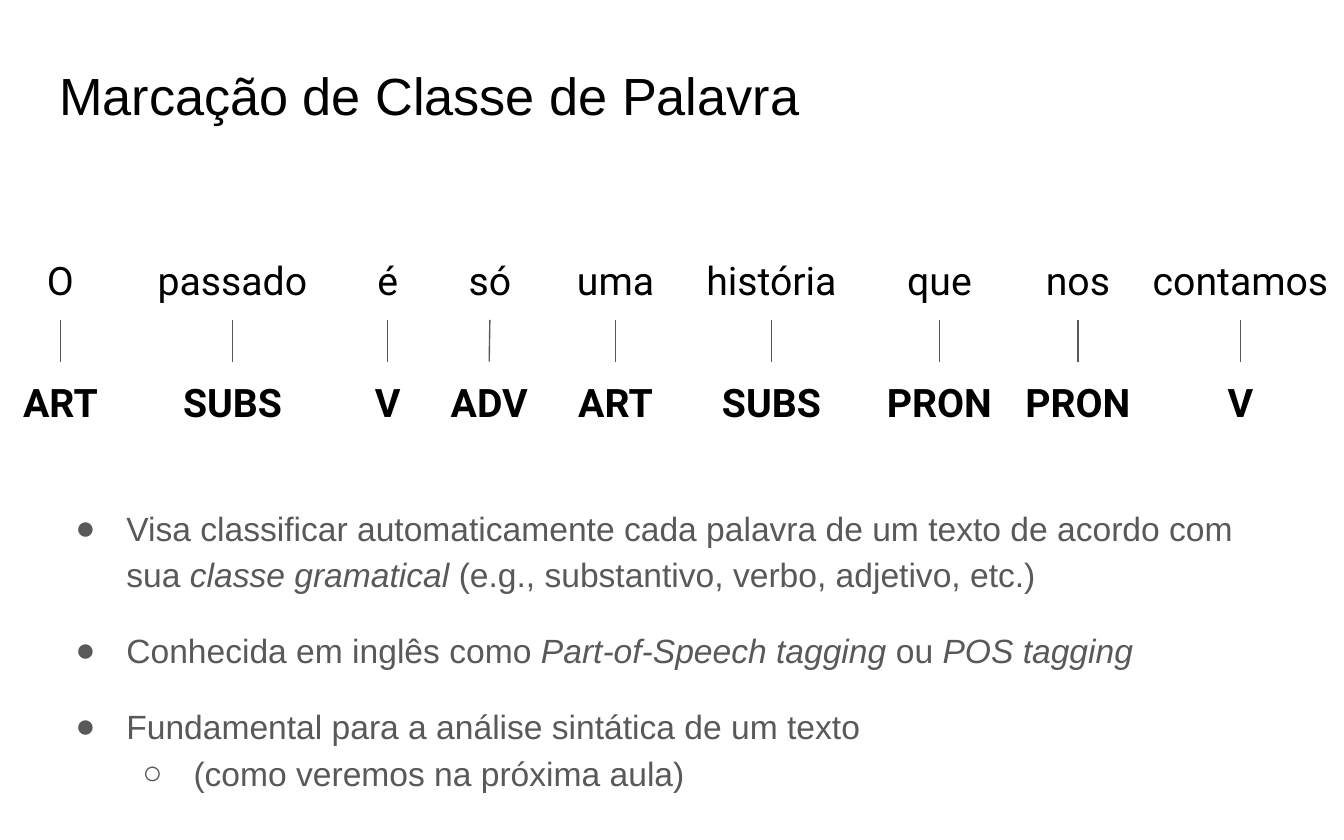
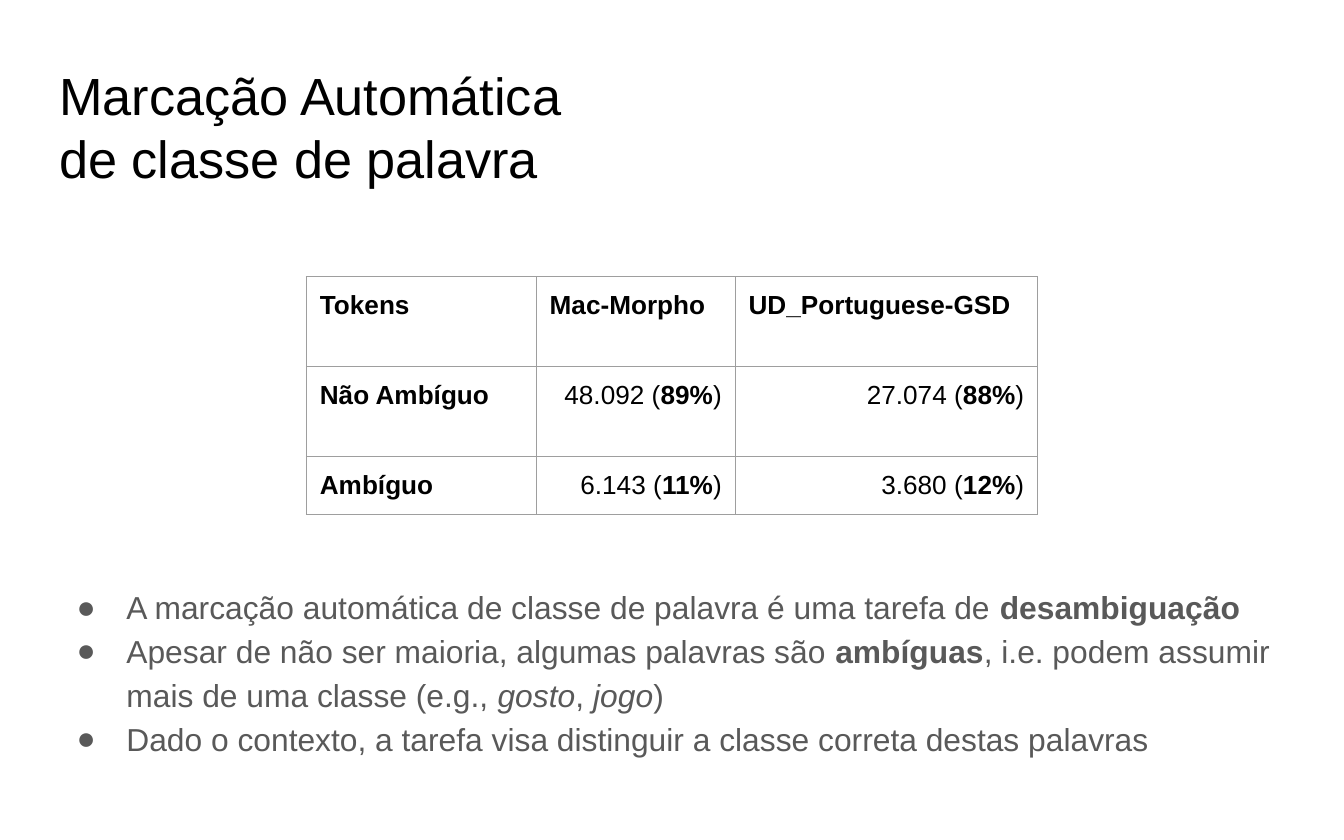
from lxml import etree
from pptx import Presentation
from pptx.dml.color import RGBColor
from pptx.enum import shapes, text
from pptx.oxml import ns
from pptx.util import Inches, Pt

BLACK, GREY, RULE = "000000", "595959", "9E9E9E"
INSET = Inches(0.1)
BULLETS = "●○"


def colour(code):
    return RGBColor.from_string(code)


def write(para, spans, size, code=BLACK, font="Arial", bold=False):
    """Add styled spans: a leading * means bold, a leading / means italic."""
    for words in spans:
        span = para.add_run()
        span.text = words.lstrip("*/")
        span.font.name = font
        span.font.size = Pt(size)
        span.font.bold = bold or words.startswith("*")
        span.font.italic = words.startswith("/")
        span.font.color.rgb = colour(code)


deck = Presentation()
deck.slide_width, deck.slide_height = Inches(10), Inches(6.25)

# Titles and lists: each list item is level, space before, spans
outlines = [
    (["Marcação de Classe de Palavra"], 3.6, 2.43, 18, 0.38, [
        (0, 10, ["Visa classificar automaticamente cada palavra de um texto de acordo com sua ",
                 "/classe gramatical ", "(e.g., substantivo, verbo, adjetivo, etc.)"]),
        (0, 16, ["Conhecida em inglês como ", "/Part-of-Speech tagging ", "ou ", "/POS tagging"]),
        (0, 16, ["Fundamental para a análise sintática de um texto"]),
        (1, 0, ["(como veremos na próxima aula)"]),
    ]),
    (["Marcação Automática", "de classe de palavra"], 4.18, 1.61, 17, 0.37, [
        (0, 0, ["A marcação automática de classe de palavra é uma tarefa de ", "*desambiguação"]),
        (0, 0, ["Apesar de não ser maioria, algumas palavras são ", "*ambíguas",
                ", i.e. podem assumir mais de uma classe (e.g., ", "/gosto", ", ", "/jogo", ")"]),
        (0, 0, ["Dado o contexto, a tarefa visa distinguir a classe correta destas palavras"]),
    ]),
]

for title_lines, top, height, size, hanging, items in outlines:
    page = deck.slides.add_slide(deck.slide_layouts[1])
    title, body = page.placeholders
    places = ((title, 0.37, 0.7, text.MSO_ANCHOR.TOP),
              (body, top, height, text.MSO_ANCHOR.MIDDLE))
    for box, box_top, box_height, anchor in places:
        box.left, box.top = Inches(0.34), Inches(box_top)
        box.width, box.height = Inches(9.32), Inches(box_height)
        box.text_frame.vertical_anchor = anchor

    for number, line in enumerate(title_lines):
        frame = title.text_frame
        para = frame.add_paragraph() if number else frame.paragraphs[0]
        para.alignment = text.PP_ALIGN.LEFT
        para.space_before = Pt(0)
        write(para, [line], 28)

    for number, (level, before, spans) in enumerate(items):
        frame = body.text_frame
        para = frame.add_paragraph() if number else frame.paragraphs[0]
        para.level = level
        para.line_spacing = 1.15
        para.space_before = Pt(before)
        write(para, spans, size, GREY)
        props = para._p.get_or_add_pPr()
        props.set("marL", str(Inches(0.5 * (level + 1))))
        props.set("indent", str(-Inches(hanging)))
        bullet_colour = etree.SubElement(props, ns.qn("a:buClr"))
        etree.SubElement(bullet_colour, ns.qn("a:srgbClr"), val=GREY)
        etree.SubElement(props, ns.qn("a:buFont"), typeface="Arial")
        etree.SubElement(props, ns.qn("a:buChar"), char=BULLETS[level])

tagging_page, ambiguity_page = deck.slides

# Sentence: word, left, width, then its tag, left, width
sentence = [
    ("O", 0.01, 0.88, "ART", 0.01, 0.88),
    ("passado", 1.02, 1.42, "SUBS", 1.02, 1.42),
    ("é", 2.57, 0.63, "V", 2.57, 0.63),
    ("só", 3.33, 0.63, "ADV", 3.23, 0.82),
    ("uma", 4.17, 0.82, "ART", 4.17, 0.82),
    ("história", 5.03, 1.42, "SUBS", 5.03, 1.42),
    ("que", 6.58, 0.82, "PRON", 6.49, 1),
    ("nos", 7.61, 0.82, "PRON", 7.52, 1),
    ("contamos", 8.47, 1.52, "V", 8.47, 1.52),
]
for word, word_left, word_width, tag, tag_left, tag_width in sentence:
    pair = []
    for label, left, top, width, bold in ((word, word_left, 1.78, word_width, False),
                                          (tag, tag_left, 2.69, tag_width, True)):
        box = tagging_page.shapes.add_textbox(
            Inches(left), Inches(top), Inches(width), Inches(0.6))
        box.text_frame.vertical_anchor = text.MSO_ANCHOR.MIDDLE
        para = box.text_frame.paragraphs[0]
        para.alignment = text.PP_ALIGN.CENTER
        write(para, [label], 21, font="Roboto", bold=bold)
        pair.append(box)
    link = tagging_page.shapes.add_connector(shapes.MSO_CONNECTOR.STRAIGHT, 0, 0, 0, 0)
    link.begin_connect(pair[0], 2)
    link.end_connect(pair[1], 0)
    link.line.color.rgb = colour(GREY)
    link.line.width = Pt(0.75)
    etree.SubElement(link._element.spPr, ns.qn("a:effectLst"))

# Ambiguity table
rows = [
    [["*Tokens"], ["*Mac-Morpho"], ["*UD_Portuguese-GSD"]],
    [["*Não Ambíguo"], ["48.092 (", "*89%", ")"], ["27.074 (", "*88%", ")"]],
    [["*Ambíguo"], ["6.143 (", "*11%", ")"], ["3.680 (", "*12%", ")"]],
]
table = ambiguity_page.shapes.add_table(
    3, 3, Inches(2.28), Inches(2.06), Inches(5.44), Inches(1.77)).table
table.first_row = table.horz_banding = False
for column, width in zip(table.columns, (1.71, 1.48, 2.25)):
    column.width = Inches(width)
for row, height in zip(table.rows, (0.67, 0.67, 0.43)):
    row.height = Inches(height)

for row, contents in zip(table.rows, rows):
    for cell, spans in zip(row.cells, contents):
        cell.margin_left = cell.margin_right = INSET
        cell.margin_top = cell.margin_bottom = INSET
        para = cell.text_frame.paragraphs[0]
        para.alignment = text.PP_ALIGN.RIGHT if len(spans) > 1 else text.PP_ALIGN.LEFT
        write(para, spans, 14)
        props = cell._tc.get_or_add_tcPr()
        for side in ("lnL", "lnR", "lnT", "lnB"):
            border = etree.SubElement(props, ns.qn(f"a:{side}"), w=str(Pt(0.75)))
            fill = etree.SubElement(border, ns.qn("a:solidFill"))
            etree.SubElement(fill, ns.qn("a:srgbClr"), val=RULE)
        cell.fill.background()

# Shared text box settings
for page in deck.slides:
    for box in page.shapes:
        if box.has_text_frame:
            frame = box.text_frame
            frame.word_wrap = True
            frame.auto_size = text.MSO_AUTO_SIZE.NONE
            frame.margin_left = frame.margin_right = INSET
            frame.margin_top = frame.margin_bottom = INSET

deck.save("out.pptx")
